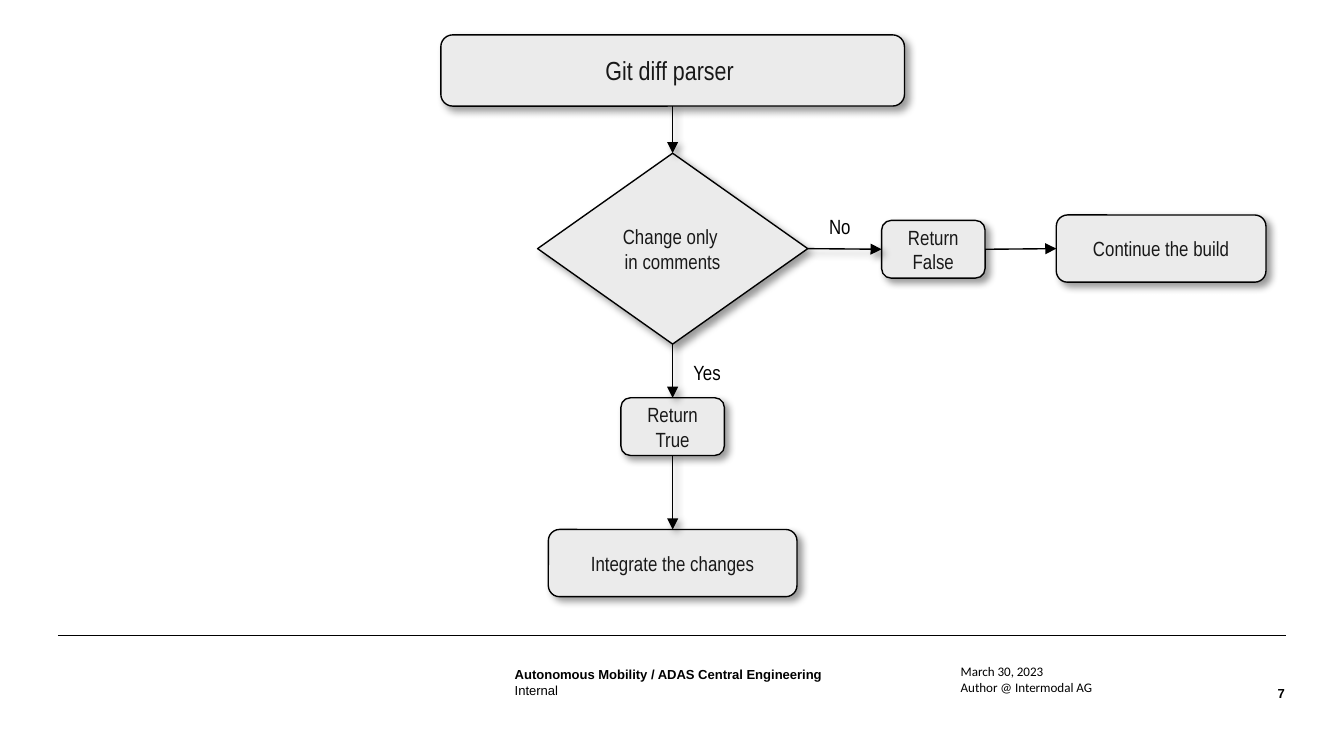
from lxml import etree
from pptx import Presentation
from pptx.dml.color import RGBColor
from pptx.enum import shapes, text
from pptx.oxml.ns import qn
from pptx.util import Inches, Pt

BLACK = RGBColor(0x00, 0x00, 0x00)
INK = RGBColor(0x18, 0x18, 0x18)
BOX_FILL = RGBColor(0xEB, 0xEB, 0xEB)
FLOW_FONT = "Arial Narrow"
TOP, LEFT, BOTTOM, RIGHT = range(4)


def add_effects(shape, shadow=True):
    """Give the shape its own effect list, with a soft shadow or empty."""
    properties = shape._element.spPr
    effects = properties.find(qn("a:effectLst"))
    if effects is None:
        effects = etree.SubElement(properties, qn("a:effectLst"))
    if shadow:
        outer = etree.SubElement(effects, qn("a:outerShdw"), blurRad=str(Pt(4)),
                                 dist=str(Pt(3)), dir=str(45 * 60000),
                                 algn="tl", rotWithShape="0")
        color = etree.SubElement(outer, qn("a:srgbClr"), val=str(BLACK))
        etree.SubElement(color, qn("a:alpha"), val="40000")


def style_text(frame, font, size, color=BLACK, align=text.PP_ALIGN.LEFT):
    for paragraph in frame.paragraphs:
        paragraph.alignment = align
        for run in paragraph.runs:
            run.font.name = font
            run.font.size = Pt(size)
            run.font.color.rgb = color


def add_label(slide, left, top, width, height, words, font, size,
              align=text.PP_ALIGN.LEFT, inset=True):
    label = slide.shapes.add_textbox(Inches(left), Inches(top), Inches(width), Inches(height))
    frame = label.text_frame
    frame.word_wrap = True
    if not inset:
        frame.margin_left = frame.margin_right = frame.margin_top = frame.margin_bottom = 0
    frame.text = words
    style_text(frame, font, size, align=align)
    return frame


def add_step(slide, left, top, width, height, words, size=11,
             kind=shapes.MSO_SHAPE.ROUNDED_RECTANGLE):
    step = slide.shapes.add_shape(kind, Inches(left), Inches(top), Inches(width), Inches(height))
    step.fill.solid()
    step.fill.fore_color.rgb = BOX_FILL
    step.line.color.rgb = BLACK
    step.line.width = Pt(0.75)
    step.shadow.inherit = False
    add_effects(step)
    frame = step.text_frame
    frame.word_wrap = True
    frame.vertical_anchor = text.MSO_ANCHOR.MIDDLE
    frame.text = words
    style_text(frame, FLOW_FONT, size, INK, text.PP_ALIGN.CENTER)
    return step


def add_line(slide, width, start=(0, 0), end=(0, 0)):
    line = slide.shapes.add_connector(shapes.MSO_CONNECTOR.STRAIGHT,
                                      *(Inches(value) for value in (*start, *end)))
    line.line.color.rgb = BLACK
    line.line.width = Pt(width)
    return line


def add_arrow(slide, source, source_side, target, target_side, shadow=True):
    arrow = add_line(slide, 0.75)
    arrow.begin_connect(source, source_side)
    arrow.end_connect(target, target_side)
    etree.SubElement(arrow.line._get_or_add_ln(), qn("a:tailEnd"), type="triangle")
    add_effects(arrow, shadow)


def add_flowchart(slide, left, top, width):
    """Main column centred in the given width, with the No branch to its right."""
    def add_main_step(step_top, step_width, height, words, **options):
        return add_step(slide, left + (width - step_width) / 2, top + step_top,
                        step_width, height, words, **options)

    parser = add_main_step(0, width, 0.53, "Git diff parser ", size=14)
    decision = add_main_step(0.88, 2.01, 1.42, "Change only  in comments",
                             kind=shapes.MSO_SHAPE.DIAMOND)
    return_true = add_main_step(2.7, 0.77, 0.43, "Return True")
    integrate = add_main_step(3.68, 1.85, 0.5, "Integrate the changes")
    return_false = add_step(slide, left + 3.28, top + 1.38, 0.77, 0.43, "Return False")
    build = add_step(slide, left + 4.58, top + 1.34, 1.56, 0.5, "Continue the build")

    main_steps = [parser, decision, return_true, integrate]
    for source, target in zip(main_steps, main_steps[1:]):
        add_arrow(slide, source, BOTTOM, target, TOP)
    add_arrow(slide, decision, RIGHT, return_false, LEFT)
    add_arrow(slide, return_false, RIGHT, build, LEFT, shadow=False)

    for x, y, answer in [(2.79, 1.28, "No"), (1.78, 2.37, "Yes")]:
        add_label(slide, left + x, top + y, 0.65, 0.29, answer, FLOW_FONT, 11)


def add_footer(slide, left, top, width):
    rule = add_line(slide, 0.35, (left, top), (left + width, top))
    add_effects(rule, shadow=False)
    department = add_label(slide, left + 3.4, top + 0.23, 2.98, 0.34,
                           "Autonomous Mobility / ADAS Central Engineering\nInternal",
                           "Arial", 7, inset=False)
    department.paragraphs[0].runs[0].font.bold = True
    add_label(slide, left + 6.62, top + 0.16, 1.57, 0.3,
              "March 30, 2023\nAuthor @ Intermodal AG", "Calibri", 7)
    number = add_label(slide, left + width - 0.4, top + 0.37, 0.39, 0.17, "7",
                       "Arial", 7, text.PP_ALIGN.RIGHT, inset=False)
    number.paragraphs[0].runs[0].font.bold = True


def main():
    deck = Presentation()
    deck.slide_width = Inches(10)
    deck.slide_height = deck.slide_width * 9 // 16
    slide = deck.slides.add_slide(deck.slide_layouts[6])
    add_footer(slide, 0.43, 4.73, 9.14)
    add_flowchart(slide, 3.28, 0.26, 3.45)
    deck.save("out.pptx")


if __name__ == "__main__":
    main()
